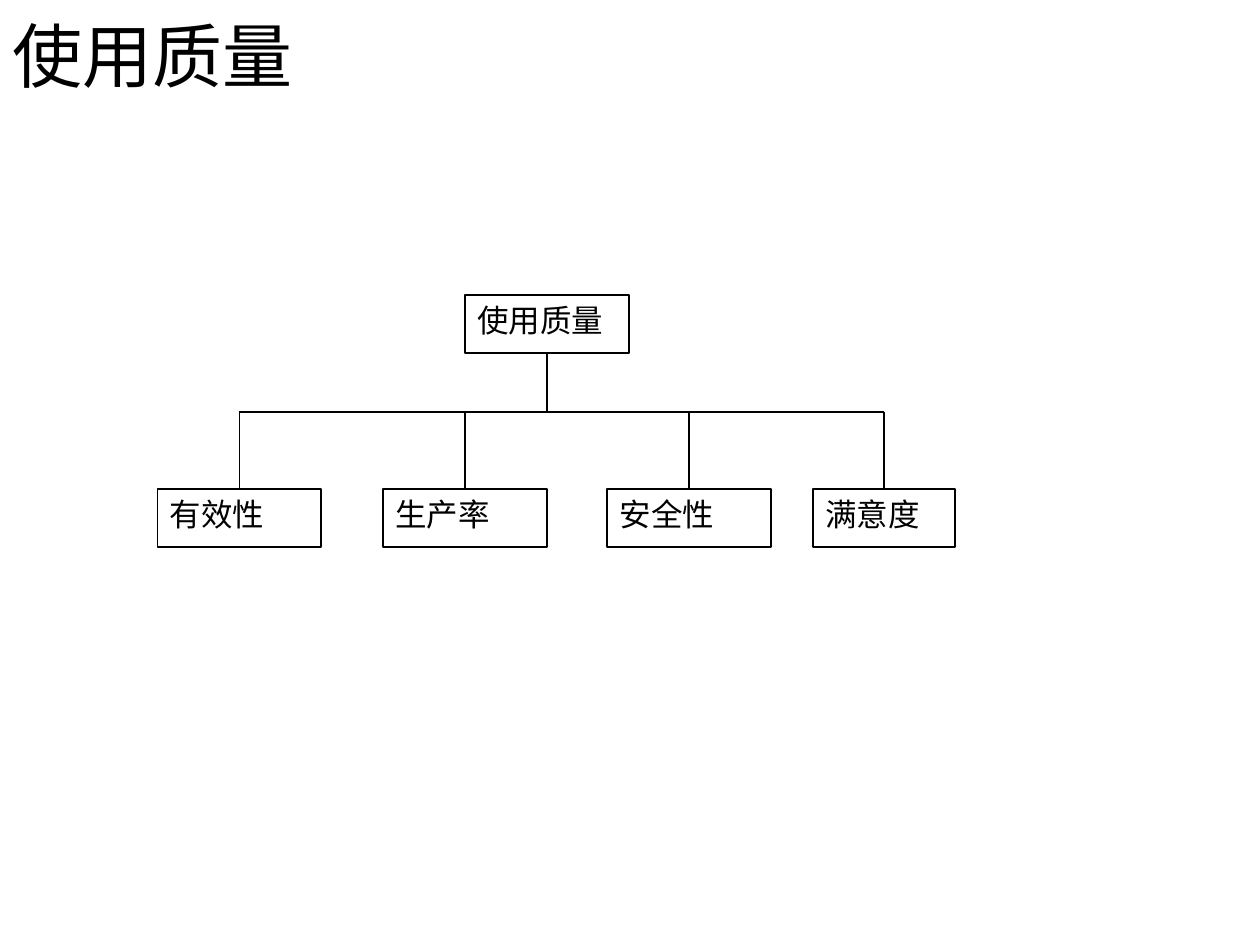
from lxml import etree
from pptx import Presentation
from pptx import util as u
from pptx.dml.color import RGBColor
from pptx.enum import shapes, text
from pptx.oxml.ns import qn

COLUMNS, ROWS = 100, 75  # grid of 0.1 inch cells


def color(value):
    return RGBColor.from_string(value)


def write(box, words, size, font, ink, anchor=text.MSO_ANCHOR.TOP):
    frame = box.text_frame
    frame.word_wrap = True
    frame.vertical_anchor = anchor
    para = frame.paragraphs[0]
    para.alignment = text.PP_ALIGN.LEFT
    span = para.add_run()
    span.text = words
    span.font.size = u.Pt(size)
    span.font.name = font
    span.font.color.rgb = color(ink)


class Page:
    ink, paper = "000000", "FFFFFF"
    title_font, box_font = "Calibri", "Times New Roman"

    def __init__(self, deck):
        self.slide = deck.slides.add_slide(deck.slide_layouts[6])
        self.column = deck.slide_width / COLUMNS
        self.row = deck.slide_height / ROWS

    def place(self, x, y):
        return u.Emu(round(x * self.column)), u.Emu(round(y * self.row))

    def title(self, words, x, y, width, height):
        box = self.slide.shapes.add_textbox(*self.place(x, y), *self.place(width, height))
        write(box, words, 40, self.title_font, self.ink, text.MSO_ANCHOR.MIDDLE)

    def node(self, words, x, y, width, height):
        box = self.slide.shapes.add_shape(
            shapes.MSO_SHAPE.RECTANGLE, *self.place(x, y), *self.place(width, height))
        box.shadow.inherit = False
        box.fill.solid()
        box.fill.fore_color.rgb = color(self.paper)
        box.line.color.rgb = color(self.ink)
        box.line.width = u.Pt(1)
        write(box, words, 18, self.box_font, self.ink)

    def line(self, x1, y1, x2, y2):
        link = self.slide.shapes.add_connector(
            shapes.MSO_CONNECTOR.STRAIGHT, *self.place(x1, y1), *self.place(x2, y2))
        link.line.color.rgb = color(self.ink)
        link.line.width = u.Pt(1)
        etree.SubElement(link._element.spPr, qn("a:effectLst"))


def main():
    deck = Presentation()
    deck.slide_width, deck.slide_height = u.Inches(10), u.Inches(7.5)
    page = Page(deck)

    page.title("使用质量", 0, 0.7, 90, 7.2)

    # Root and its four characteristics: words, left, width
    root_left, root_top, width, height = 36.9, 23.4, 13, 4.6
    bus, child_top = 32.7, 38.8
    children = [("有效性", 12.5, width), ("生产率", 30.4, width),
                ("安全性", 48.2, width), ("满意度", 64.5, 11.3)]
    page.node("使用质量", root_left, root_top, width, height)
    for words, left, wide in children:
        page.node(words, left, child_top, wide, height)

    # Tree lines: shared bar, a drop to each child, a stem to the root
    centers = [left + wide / 2 for _, left, wide in children]
    page.line(centers[0], bus, centers[-1], bus)
    for center in centers:
        page.line(center, bus, center, child_top)
    stem = root_left + width / 2
    page.line(stem, bus, stem, root_top + height)

    deck.save("out.pptx")


if __name__ == "__main__":
    main()
